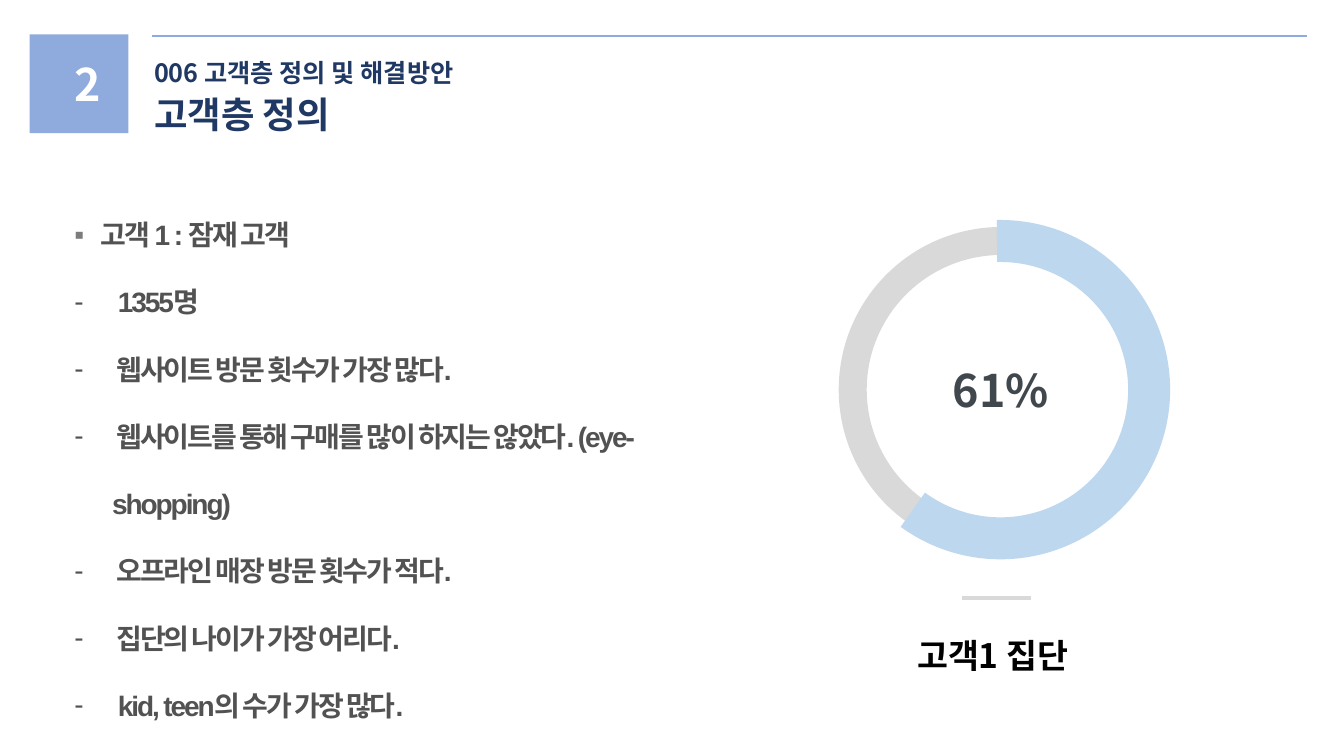
from lxml.etree import SubElement as Sub
from pptx import Presentation
from pptx.dml.color import RGBColor as RGB
from pptx.enum.shapes import MSO_CONNECTOR as Conn, MSO_SHAPE as Kind
from pptx.enum.text import MSO_AUTO_SIZE as Auto, PP_ALIGN as Align
from pptx.oxml.ns import qn
from pptx.util import Pt

BLUE = RGB(0x8F, 0xAA, 0xDC)
NAVY = RGB(0x20, 0x38, 0x64)
PALE = RGB(0xBD, 0xD7, 0xEE)
GRAY = RGB(0xD9, 0xD9, 0xD9)
MARK = RGB(0x7C, 0x7C, 0x7C)
BODY = RGB(0x52, 0x52, 0x52)
SLATE = RGB(0x40, 0x47, 0x4D)
WHITE = RGB(0xFF, 0xFF, 0xFF)
BLACK = RGB(0, 0, 0)
SANS, LATIN = "Noto Sans CJK KR", "Arial"

LABELS = [
    ("2", (46, 36.7, 20.3, 46), dict(size=32, color=WHITE, mid=True)),
    ("006 고객층 정의 및 해결방안", (103, 37.3, 253.4, 29),
     dict(size=18, color=NAVY, wrap=False)),
    ("고객층 정의", (103, 62, 154.8, 38.8),
     dict(size=26, color=NAVY, wrap=False)),
    ("61%", (638, 255.6, 154, 46), dict(size=32, color=SLATE, mid=True)),
    ("고객1 집단", (648, 450, 134, 36),
     dict(size=24, color=BLACK, wrap=False)),
]
HEAD = "고객 1 : 잠재 고객"
FACTS = [
    "1355명",
    "웹사이트 방문 횟수가 가장 많다.",
    "웹사이트를 통해 구매를 많이 하지는 않았다. (eye-shopping)",
    "오프라인 매장 방문 횟수가 적다.",
    "집단의 나이가 가장 어리다.",
    "kid, teen의 수가 가장 많다.",
]
RULES = [(108.7, 933.8, 25.9, BLUE, 1.5), (736.6, 686.9, 427, GRAY, 3)]
RING = 212.4
ARCS = [
    (609.1, 270, (39.89, 215.46), GRAY, 20),
    (608.4, 180, (53.2, 183.67), PALE, 30),
]

deck = Presentation()
deck.slide_width, deck.slide_height = Pt(960), Pt(540)
slide = deck.slides.add_slide(deck.slide_layouts[6])
shapes = slide.shapes


def add_run(para, text, size=20, color=BODY, face=SANS, track=None):
    run = para.add_run()
    run.text = text
    font = run.font
    font.size, font.bold, font.name = Pt(size), True, face
    font.color.rgb = color
    props = run._r.get_or_add_rPr()
    Sub(props, qn("a:ea")).set("typeface", SANS)
    if track:
        props.set("spc", str(track))


def add_box(place, wrap=True):
    frame = shapes.add_textbox(*map(Pt, place)).text_frame
    frame.word_wrap = wrap
    frame.auto_size = Auto.SHAPE_TO_FIT_TEXT
    return frame


def add_text(text, place, wrap=True, mid=False, **style):
    para = add_box(place, wrap).paragraphs[0]
    para.alignment = Align.CENTER if mid else Align.LEFT
    add_run(para, text, **style)


def add_mark(para, mark, inset, lead):
    para.line_spacing = lead
    props = para._p.get_or_add_pPr()
    props.set("marL", str(Pt(inset)))
    props.set("indent", str(-Pt(inset)))
    Sub(props, qn("a:buFont")).set("typeface", LATIN)
    Sub(props, qn("a:buChar")).set("char", mark)


for left, right, y, color, width in RULES:
    rule = shapes.add_connector(Conn.STRAIGHT, Pt(left), Pt(y), Pt(right), Pt(y))
    rule.line.color.rgb, rule.line.width = color, Pt(width)
    Sub(rule._element.spPr, qn("a:effectLst"))

badge = shapes.add_shape(Kind.RECTANGLE, Pt(21.2), Pt(24.5), Pt(70.6), Pt(70.6))
badge.shadow.inherit = False
badge.fill.solid()
badge.fill.fore_color.rgb = BLUE
badge.line.fill.background()

for left, turn, ends, color, width in ARCS:
    arc = shapes.add_shape(Kind.ARC, Pt(left), Pt(172.1), Pt(RING), Pt(RING))
    arc.shadow.inherit = False
    arc.rotation = turn
    arc.adjustments[0], arc.adjustments[1] = ends
    arc.fill.background()
    arc.line.color.rgb, arc.line.width = color, Pt(width)

for text, place, style in LABELS:
    add_text(text, place, **style)

frame = add_box((46, 115.9, 443.5, 406.8))
para = frame.paragraphs[0]
add_mark(para, "▪", 14.4, 2.5)
add_run(para, " ", color=MARK, track=-150)
add_run(para, HEAD, face=LATIN, track=-150)
for fact in FACTS:
    para = frame.add_paragraph()
    add_mark(para, "-", 27, 2)
    add_run(para, " " + fact, face=LATIN, track=-150)

deck.save("out.pptx")
